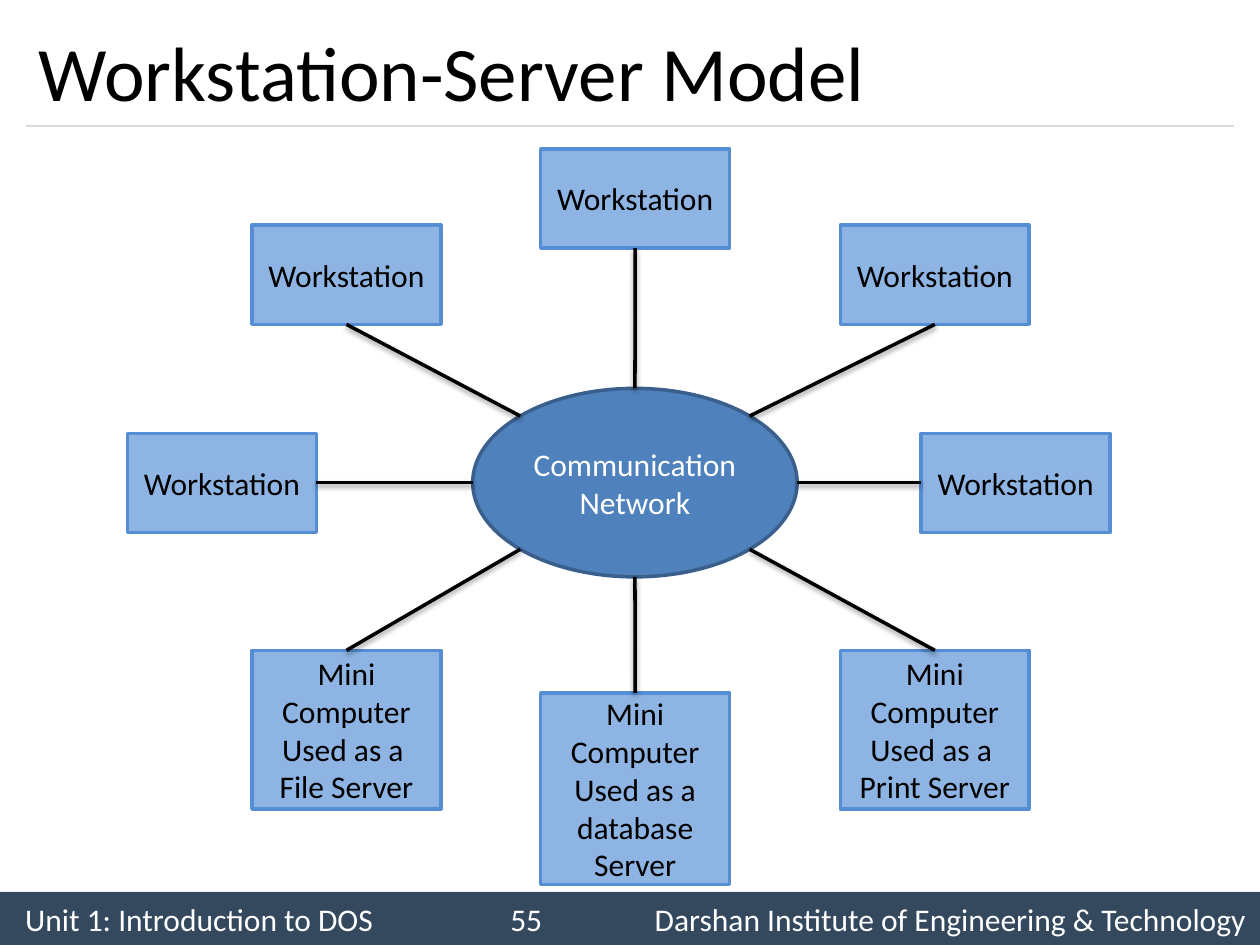
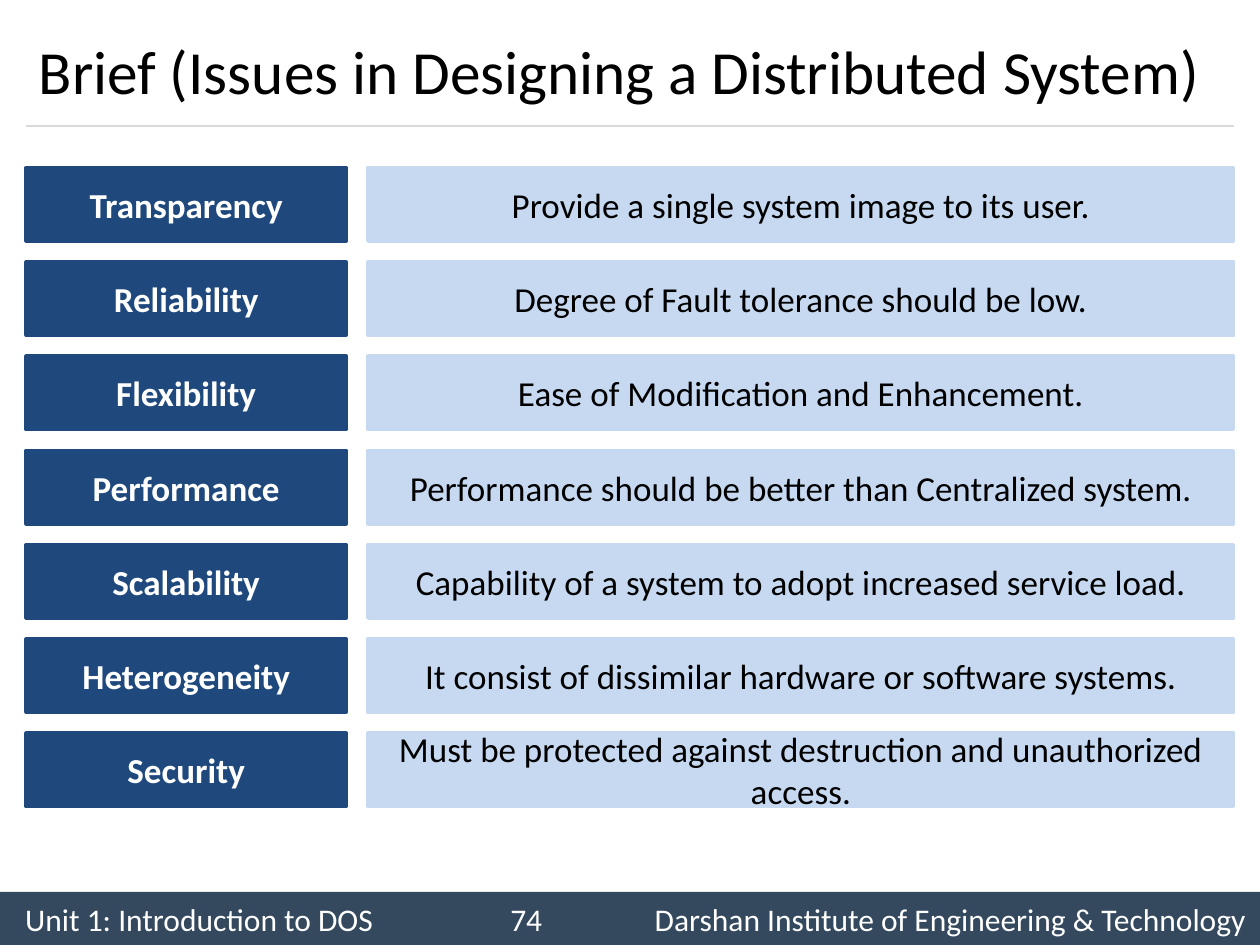
import math

import pptx
import pptx.dml.color
import pptx.enum.shapes
import pptx.enum.text
import pptx.oxml
import pptx.oxml.ns
import pptx.util
from lxml import etree

Cm = pptx.util.Cm
Pt = pptx.util.Pt
RGBColor = pptx.dml.color.RGBColor
SHAPE = pptx.enum.shapes.MSO_SHAPE
ALIGN = pptx.enum.text.PP_ALIGN
MIDDLE = pptx.enum.text.MSO_ANCHOR.MIDDLE
qn = pptx.oxml.ns.qn

# Content
UNIT = "Unit 1: Introduction to DOS"
INSTITUTE = "Darshan Institute of Engineering & Technology"
MODEL = {"title": "Workstation-Server Model", "size": 44, "number": "55"}
BRIEF = {"title": "Brief (Issues in Designing a Distributed System)", "size": 35, "number": "74"}

NETWORK = ["Communication", "Network"]
WORKSTATION = ["Workstation"]
FILE_SERVER = ["Mini Computer", "Used as a ", "File Server"]
DATABASE_SERVER = ["Mini Computer", "Used as a database Server"]
PRINT_SERVER = ["Mini Computer", "Used as a ", "Print Server"]

# Text, left, top, height, angle on the network (clockwise from the right)
NODES = [
    (WORKSTATION, 18.57, 8.74, 2, 0),
    (PRINT_SERVER, 16.94, 13.11, 3.2, 45),
    (DATABASE_SERVER, 10.9, 13.97, 3.86, 90),
    (FILE_SERVER, 5.08, 13.11, 3.2, 135),
    (WORKSTATION, 2.57, 8.74, 2, 180),
    (WORKSTATION, 5.08, 4.54, 2, 225),
    (WORKSTATION, 10.9, 3, 2, 270),
    (WORKSTATION, 16.94, 4.54, 2, 315),
]

ISSUES = [
    ("Transparency", "Provide a single system image to its user."),
    ("Reliability", "Degree of Fault tolerance should be low."),
    ("Flexibility", "Ease of Modification and Enhancement."),
    ("Performance", "Performance should be better than Centralized system."),
    ("Scalability", "Capability of a system to adopt increased service load."),
    ("Heterogeneity", "It consist of dissimilar hardware or software systems."),
    ("Security", "Must be protected against destruction and unauthorized access."),
]

# Style
FONT = "Calibri"
BLACK = RGBColor(0x00, 0x00, 0x00)
WHITE = RGBColor(0xFF, 0xFF, 0xFF)
BAND = RGBColor(0x34, 0x49, 0x5E)
RULE = RGBColor(0xD9, 0xD9, 0xD9)
NETWORK_FILL = RGBColor(0x4F, 0x81, 0xBD)
NETWORK_EDGE = RGBColor(0x3A, 0x5F, 0x8C)
NODE_FILL = RGBColor(0x8E, 0xB4, 0xE3)
NODE_EDGE = RGBColor(0x55, 0x8E, 0xD5)
ISSUE_FILL = RGBColor(0x1F, 0x49, 0x7D)
MEANING_FILL = RGBColor(0xC6, 0xD9, 0xF1)

# Measures in centimetres
WIDTH, HEIGHT = 25.4, 19.05
MARGIN = 0.53
CONTENT_WIDTH = WIDTH - 2 * MARGIN
RULE_Y = 2.54
BAND_TOP = 17.98
CENTRE_X, CENTRE_Y = 12.8, 9.73
RADIUS_X, RADIUS_Y = 3.27, 1.9
NODE_WIDTH = 3.81
ROW_TOP, ROW_STEP, ROW_HEIGHT = 3.38, 1.9, 1.48
ISSUE_WIDTH, MEANING_LEFT = 6.45, 7.42


def write(paragraph, text, size, color, bold=False):
    run = paragraph.add_run()
    run.text = text
    font = run.font
    font.name, font.size, font.bold = FONT, Pt(size), bold
    font.color.rgb = color


def add_box(slide, kind, area, fill, edge, lines=(), size=18, color=BLACK, bold=False):
    box = slide.shapes.add_shape(kind, *map(Cm, area))
    box.shadow.inherit = False
    box.fill.solid()
    box.fill.fore_color.rgb = fill
    if edge is None:
        box.line.fill.background()
    else:
        box.line.color.rgb = edge
        box.line.width = Pt(2)
    frame = box.text_frame
    frame.word_wrap = True
    frame.vertical_anchor = MIDDLE
    for index, line in enumerate(lines):
        paragraph = frame.add_paragraph() if index else frame.paragraphs[0]
        paragraph.alignment = ALIGN.CENTER
        write(paragraph, line, size, color, bold)
    return box


def add_line(slide, start, end, color, width, shadow=False):
    line = slide.shapes.add_connector(
        pptx.enum.shapes.MSO_CONNECTOR.STRAIGHT, *map(Cm, (*start, *end)))
    line.line.color.rgb = color
    line.line.width = Pt(width)
    effects = etree.SubElement(line._element.spPr, qn("a:effectLst"))
    if shadow:
        outer = etree.SubElement(effects, qn("a:outerShdw"), blurRad=str(Pt(3.1)),
                                 dist=str(Pt(1.6)), dir="5400000", rotWithShape="0")
        tint = etree.SubElement(outer, qn("a:srgbClr"), val=str(BLACK))
        etree.SubElement(tint, qn("a:alpha"), val="38000")


def add_footer(slide, number):
    band = add_box(slide, SHAPE.RECTANGLE, (0, BAND_TOP, WIDTH, HEIGHT - BAND_TOP), BAND, None)
    frame = band.text_frame
    frame.margin_left, frame.margin_right = Cm(0.51), Cm(0.25)
    paragraph = frame.paragraphs[0]
    paragraph.alignment = ALIGN.LEFT
    stops = etree.SubElement(paragraph._p.get_or_add_pPr(), qn("a:tabLst"))
    for position, side in ((10.1, "ctr"), (24.61, "r")):
        etree.SubElement(stops, qn("a:tab"), pos=str(Cm(position)), algn=side)
    write(paragraph, f"{UNIT}\t{number}\t{INSTITUTE}", 18, WHITE)


def start_slide(deck, page):
    slide = deck.slides.add_slide(deck.slide_layouts.get_by_name("Title Only"))
    add_footer(slide, page["number"])
    add_line(slide, (MARGIN, RULE_Y), (WIDTH - MARGIN, RULE_Y), RULE, 0.75)
    title = slide.shapes.title
    title.left, title.top = Cm(MARGIN), Cm(0.3)
    title.width, title.height = Cm(CONTENT_WIDTH), Cm(RULE_Y - 0.3)
    frame = title.text_frame
    frame.auto_size = pptx.enum.text.MSO_AUTO_SIZE.NONE
    frame.vertical_anchor = MIDDLE
    frame.paragraphs[0].alignment = ALIGN.LEFT
    write(frame.paragraphs[0], page["title"], page["size"], BLACK)
    return slide


def build_model(deck):
    slide = start_slide(deck, MODEL)
    network_area = (CENTRE_X - RADIUS_X, CENTRE_Y - RADIUS_Y, 2 * RADIUS_X, 2 * RADIUS_Y)
    add_box(slide, SHAPE.OVAL, network_area, NETWORK_FILL, NETWORK_EDGE, NETWORK, color=WHITE)
    for lines, left, top, height, angle in NODES:
        add_box(slide, SHAPE.RECTANGLE, (left, top, NODE_WIDTH, height),
                NODE_FILL, NODE_EDGE, lines)
        # Each link leaves the side of the node that faces the network
        if angle % 180 == 0:
            node_end = (left if angle == 0 else left + NODE_WIDTH, CENTRE_Y)
        else:
            node_end = (left + NODE_WIDTH / 2, top if angle < 180 else top + height)
        turn = math.radians(angle)
        network_end = (CENTRE_X + RADIUS_X * math.cos(turn),
                       CENTRE_Y + RADIUS_Y * math.sin(turn))
        add_line(slide, node_end, network_end, BLACK, 2, shadow=True)


def build_brief(deck):
    slide = start_slide(deck, BRIEF)
    meaning_width = WIDTH - MARGIN - MEANING_LEFT
    for row, (issue, meaning) in enumerate(ISSUES):
        top = ROW_TOP + row * ROW_STEP
        add_box(slide, SHAPE.RECTANGLE, (MARGIN, top, ISSUE_WIDTH, ROW_HEIGHT),
                ISSUE_FILL, ISSUE_FILL, [issue], 20, WHITE, True)
        add_box(slide, SHAPE.RECTANGLE, (MEANING_LEFT, top, meaning_width, ROW_HEIGHT),
                MEANING_FILL, MEANING_FILL, [meaning], 20)


def main():
    deck = pptx.Presentation()
    deck.slide_width, deck.slide_height = Cm(WIDTH), Cm(HEIGHT)
    build_model(deck)
    build_brief(deck)
    deck.save("out.pptx")


if __name__ == "__main__":
    main()
